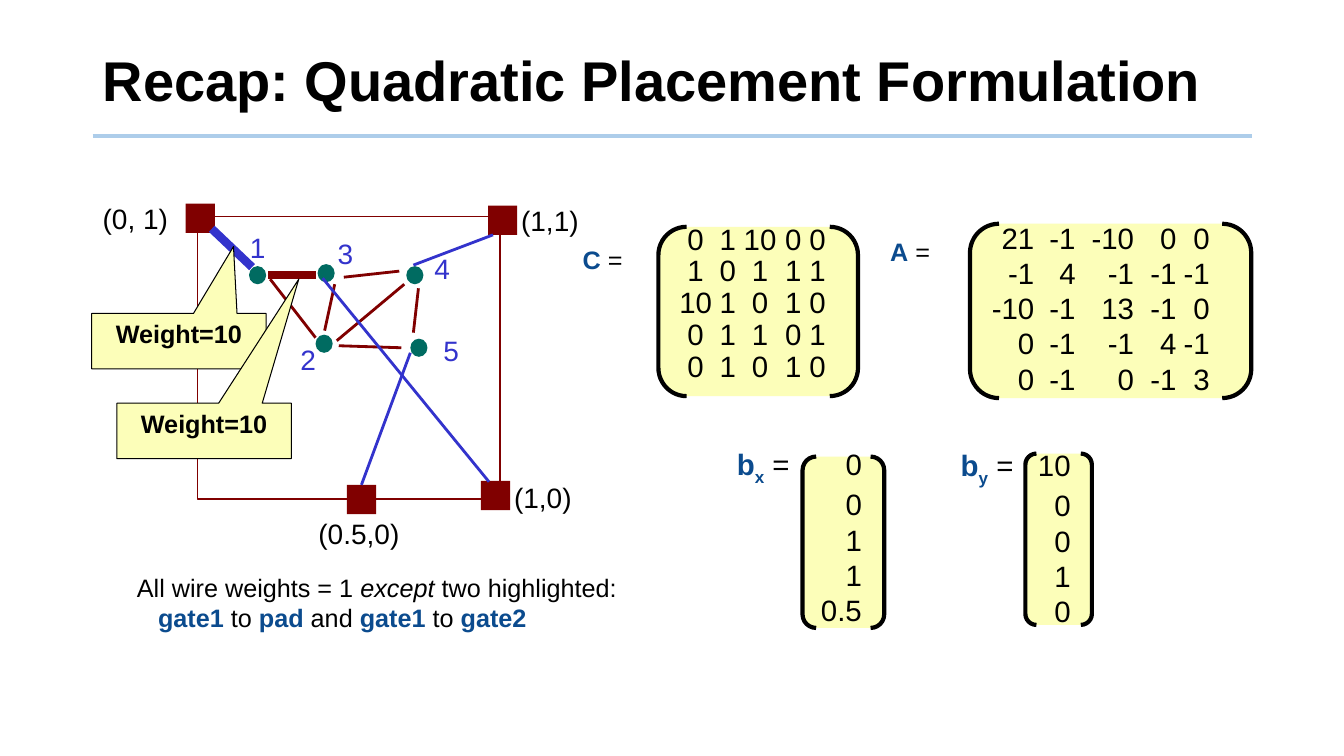
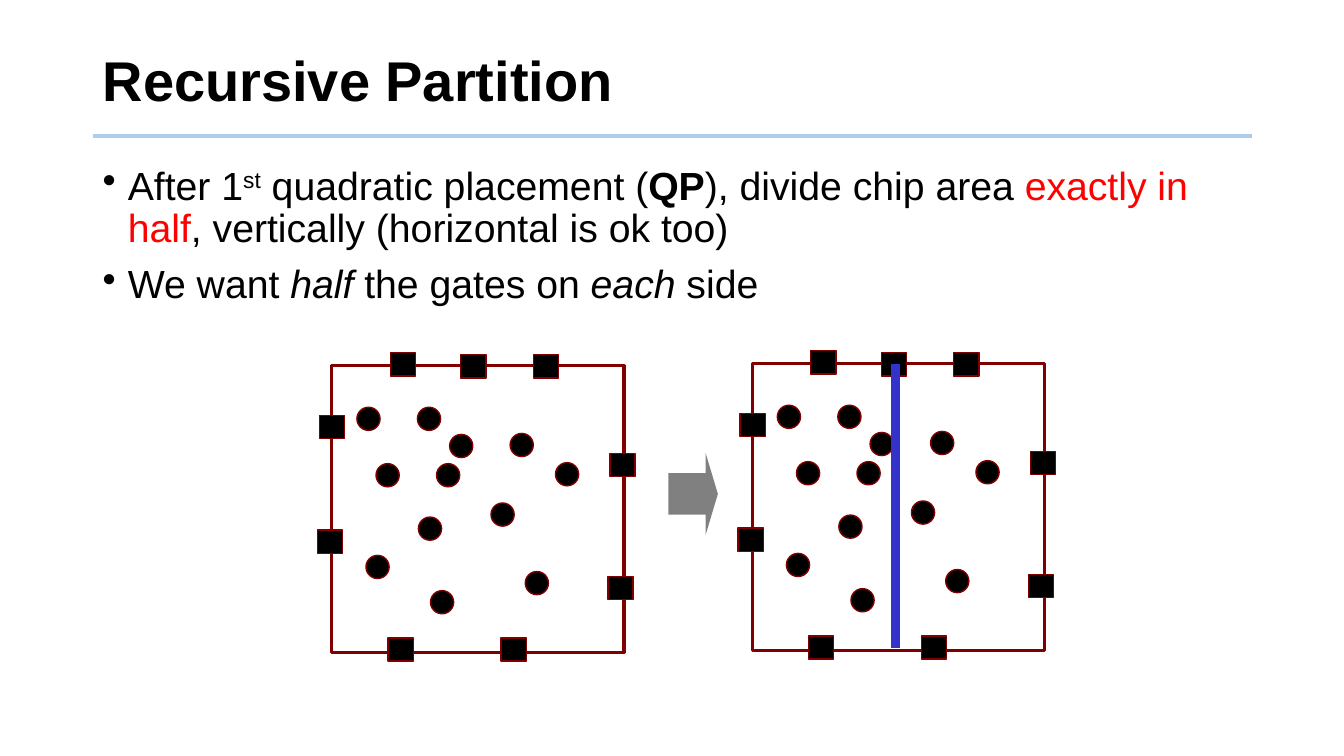
from lxml import etree
from pptx import Presentation
from pptx.dml.color import RGBColor
from pptx.enum import shapes, text
from pptx.oxml import ns
from pptx.util import Pt

PX = 9144  # EMU; 100 px to the inch
FONT = "Arial"
BLACK = RGBColor(0, 0, 0)
MAROON = RGBColor(0x80, 0, 0)
BLUE = RGBColor(0x33, 0x33, 0xCC)
NAVY = RGBColor(0x0B, 0x4B, 0x8E)
TEAL = RGBColor(0, 0x6B, 0x61)
CREAM = RGBColor(0xFC, 0xFE, 0xB9)
RED = RGBColor(0xFF, 0, 0)
GREY = RGBColor(0x80, 0x80, 0x80)
RULE_BLUE = RGBColor(0xAD, 0xCD, 0xEA)
KIND = shapes.MSO_SHAPE
KEY = {"bold": True, "color": NAVY}

# Slide 1: placement network
CORE = (196, 215, 300, 280)
PAD_SIZE = 29
PADS = [(477, 477), (184, 202), (484, 204)]
BOTTOM_PAD = (344, 481)
GATE_SIZE = (17, 18)
GATES = [(247, 264), (315, 262), (313, 332), (407, 336), (403, 264)]
GATE_WIRES = [
    (268, 277, 313, 335), (341, 275, 396, 269), (336, 343, 398, 345),
    (334, 338, 401, 282), (332, 282, 322, 328), (415, 286, 410, 330),
]
PAD_WIRES = [(485, 478, 320, 276), (489, 233, 410, 263)]
BOTTOM_WIRE = (358, 481, 407, 350)
HEAVY_WIRES = [((266, 273, 313, 273), MAROON), ((250, 265, 210, 227), BLUE)]
GATE_LABELS = [("1", 238, 224), ("2", 288, 335), ("3", 325, 230),
               ("4", 421, 245), ("5", 430, 326)]
PAD_LABELS = [("(1,0)", 500, 472), ("(0, 1)", 92, 195),
              ("(0.5,0)", 306, 508), ("(1,1)", 507, 197)]
CALLOUTS = [((91, 311, 173, 55), (0.313, -1.708)),
            ((116, 400, 173, 55), (0.543, -2.739))]
WEIGHT_NOTE = [
    [("All wire weights = 1 ", {}), ("except", {"italic": True}),
     (" two highlighted:", {})],
    [("gate1 ", KEY), ("to ", {}), ("pad", KEY), (" and ", {}),
     ("gate1 ", KEY), ("to ", {}), ("gate2", KEY)],
]

# Slide 1: matrices and vectors
MATRIX_NAMES = [("C", 568, 237), ("A", 873, 230)]
MATRICES = [
    {"bracket": (653, 225, 198, 168), "box": (664, 218, 190, 169),
     "tabs": (16, 48, 80, 113, 137), "align": "ctr", "spacing": 0.9,
     "rows": [(0, 1, 10, 0, 0), (1, 0, 1, 1, 1), (10, 1, 0, 1, 0),
              (0, 1, 1, 0, 1), (0, 1, 0, 1, 0)]},
    {"bracket": (962, 222, 279, 173), "box": (962, 213, 260, 187),
     "tabs": (54, 95, 153, 195, 228), "align": "r", "spacing": 1.0,
     "rows": [(21, -1, -10, 0, 0), (-1, 4, -1, -1, -1), (-10, -1, 13, -1, 0),
              (0, -1, -1, 4, -1), (0, -1, 0, -1, 3)]},
]
VECTORS = [
    {"axis": "x", "bracket": (796, 453, 81, 170), "box": (721, 438, 150, 187),
     "tab": 124, "values": (0, 0, 1, 1, 0.5)},
    {"axis": "y", "bracket": (1017, 450, 66, 170), "box": (943, 439, 135, 187),
     "tab": 109, "values": (10, 0, 0, 1, 0)},
]

# Slide 2
POINTS = [
    [("After 1", {}), ("st", {"baseline": 30}), (" quadratic placement (", {}),
     ("QP", {"bold": True}), ("), divide chip area ", {}),
     ("exactly in half", {"color": RED}),
     (", vertically (horizontal is ok too)", {})],
    [("We want ", {}), ("half", {"italic": True}), (" the gates on ", {}),
     ("each", {"italic": True}), (" side", {})],
]
CHIP = (329, 363, 290, 284)
CHIP_GATES = [(354, 404), (373, 460), (363, 551), (446, 431), (427, 586),
              (487, 499), (415, 513), (521, 567), (414, 404), (433, 460),
              (506, 430), (551, 459)]
CHIP_PADS = [(317, 412), (315, 526), (385, 633), (497, 633), (603, 572),
             (605, 450), (529, 352), (457, 352), (387, 350)]
CHIP_SHIFTS = [(0, 0), (417, -2)]
ARROW = (663, 449, 49, 82)
CUT = (888, 361, 888, 643)


def scaled(lengths):
    return [round(n * PX) for n in lengths]


def add_part(slide, kind, box, fill=None, line=None, width=1):
    part = slide.shapes.add_shape(kind, *scaled(box))
    part.shadow.inherit = False
    if fill is None:
        part.fill.background()
    else:
        part.fill.solid()
        part.fill.fore_color.rgb = fill
    if line is None:
        part.line.fill.background()
    else:
        part.line.color.rgb = line
        part.line.width = Pt(width)
    return part


def add_wire(slide, ends, color, width=2):
    wire = slide.shapes.add_connector(shapes.MSO_CONNECTOR.STRAIGHT,
                                      *scaled(ends))
    wire.line.color.rgb = color
    wire.line.width = Pt(width)
    etree.SubElement(wire._element.spPr, ns.qn("a:effectLst"))
    return wire


def write_runs(paragraph, runs, size, color=BLACK):
    for words, style in runs:
        run = paragraph.add_run()
        run.text = words
        run.font.name = FONT
        run.font.size = Pt(size)
        run.font.bold = style.get("bold", False)
        run.font.italic = style.get("italic", False)
        run.font.color.rgb = style.get("color", color)
        if "baseline" in style:
            run._r.get_or_add_rPr().set("baseline",
                                        str(style["baseline"] * 1000))


def add_words(slide, box, lines, size, color=BLACK, spacing=1.0,
              anchor=text.MSO_ANCHOR.TOP):
    """Add a text box holding one list of (words, style) runs per paragraph."""
    frame = slide.shapes.add_textbox(*scaled(box)).text_frame
    frame.word_wrap = True
    frame.vertical_anchor = anchor
    for index, runs in enumerate(lines):
        paragraph = frame.paragraphs[0] if index == 0 else frame.add_paragraph()
        paragraph.line_spacing = spacing
        write_runs(paragraph, runs, size, color)
    return frame


def set_tabs(frame, stops, align):
    for paragraph in frame.paragraphs:
        tabs = etree.SubElement(paragraph._p.get_or_add_pPr(),
                                ns.qn("a:tabLst"))
        for stop in stops:
            etree.SubElement(tabs, ns.qn("a:tab"), pos=str(stop * PX),
                             algn=align)


def set_bullets(frame):
    for paragraph in frame.paragraphs:
        properties = paragraph._p.get_or_add_pPr()
        properties.set("marL", str(25 * PX))
        properties.set("indent", str(-25 * PX))
        etree.SubElement(properties, ns.qn("a:buChar"), char="•")


def add_titled_slide(deck, title):
    slide = deck.slides.add_slide(deck.slide_layouts[6])
    add_wire(slide, (92, 135, 1242, 135), RULE_BLUE, 3)
    add_words(slide, (92, 28, 1150, 110), [[(title, {"bold": True})]], 40,
              spacing=0.9, anchor=text.MSO_ANCHOR.MIDDLE)
    return slide


def draw_network(slide):
    add_part(slide, KIND.RECTANGLE, CORE, line=MAROON)
    for corner in PADS:
        add_part(slide, KIND.RECTANGLE, (*corner, PAD_SIZE, PAD_SIZE), MAROON)
    bottom_pad = add_part(slide, KIND.RECTANGLE,
                          (*BOTTOM_PAD, PAD_SIZE, PAD_SIZE), MAROON)
    for corner in GATES:
        add_part(slide, KIND.OVAL, (*corner, *GATE_SIZE), TEAL)
    for ends in GATE_WIRES:
        add_wire(slide, ends, MAROON)
    for ends in PAD_WIRES:
        add_wire(slide, ends, BLUE)
    add_wire(slide, BOTTOM_WIRE, BLUE).begin_connect(bottom_pad, 0)
    for ends, color in HEAVY_WIRES:
        add_wire(slide, ends, color, 6)
    for labels, color in ((GATE_LABELS, BLUE), (PAD_LABELS, BLACK)):
        for label, left, top in labels:
            add_words(slide, (left, top, 110, 43), [[(label, {})]], 20, color)
    note = add_words(slide, (126, 563, 520, 71), WEIGHT_NOTE, 18)
    note.paragraphs[1]._p.get_or_add_pPr().set("marL", str(21 * PX))
    for box, tip in CALLOUTS:
        callout = add_part(slide, KIND.RECTANGULAR_CALLOUT, box, CREAM, BLACK,
                           0.75)
        callout.adjustments[0], callout.adjustments[1] = tip
        callout.text_frame.vertical_anchor = text.MSO_ANCHOR.TOP
        paragraph = callout.text_frame.paragraphs[0]
        paragraph.alignment = text.PP_ALIGN.CENTER
        write_runs(paragraph, [("Weight=10", {"bold": True})], 18)


def draw_matrices(slide):
    for block in MATRICES + VECTORS:
        add_part(slide, KIND.DOUBLE_BRACKET, block["bracket"], CREAM, BLACK, 3)
    for name, left, top in MATRIX_NAMES:
        add_words(slide, (left, top, 80, 40), [[(name, KEY), (" =", {})]], 18)
    for matrix in MATRICES:
        rows = [[("".join(f"\t{value}" for value in row), {})]
                for row in matrix["rows"]]
        frame = add_words(slide, matrix["box"], rows, 21,
                          spacing=matrix["spacing"])
        set_tabs(frame, matrix["tabs"], matrix["align"])
    for vector in VECTORS:
        rows = [[(f"\t{value}", {})] for value in vector["values"]]
        rows[0] = [("b", KEY), (vector["axis"], {**KEY, "baseline": -25}),
                   (" =", {})] + rows[0]
        set_tabs(add_words(slide, vector["box"], rows, 21),
                 (vector["tab"],), "r")


def draw_chip(slide, dx, dy):
    left, top, width, height = CHIP
    add_part(slide, KIND.RECTANGLE, (left + dx, top + dy, width, height),
             line=MAROON, width=2.25)
    for kind, corners, size in ((KIND.OVAL, CHIP_GATES, (23, 23)),
                                (KIND.RECTANGLE, CHIP_PADS, (25, 23))):
        for x, y in corners:
            add_part(slide, kind, (x + dx, y + dy, *size), BLACK, MAROON)


def main():
    deck = Presentation()
    deck.slide_width, deck.slide_height = scaled((1333, 750))

    recap = add_titled_slide(deck, "Recap: Quadratic Placement Formulation")
    draw_network(recap)
    draw_matrices(recap)

    partition = add_titled_slide(deck, "Recursive Partition")
    points = add_words(partition, (92, 160, 1150, 515), POINTS, 28,
                       spacing=0.9)
    points.paragraphs[1].space_before = Pt(10)
    set_bullets(points)
    for shift in CHIP_SHIFTS:
        draw_chip(partition, *shift)
    arrow = add_part(partition, KIND.RIGHT_ARROW, ARROW, GREY)
    arrow.adjustments[1] = 0.25
    add_wire(partition, CUT, BLUE, 6)

    deck.save("out.pptx")


if __name__ == "__main__":
    main()
